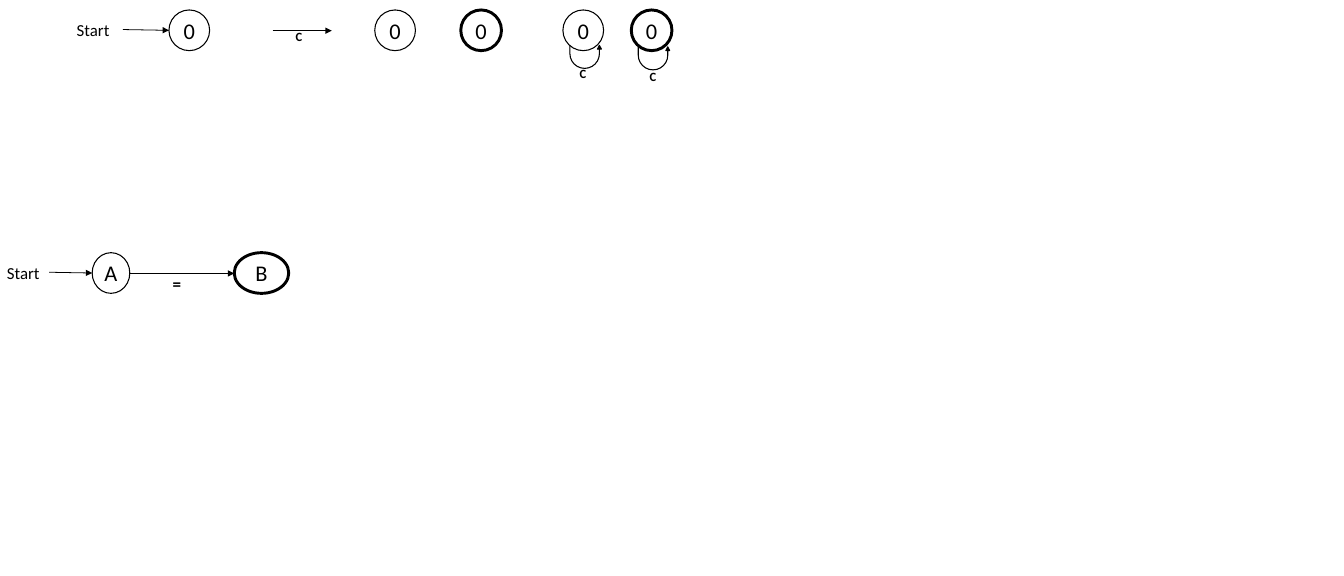
from pptx import Presentation
from pptx.dml.color import RGBColor
from pptx.enum.shapes import MSO_CONNECTOR as CONNECTOR, MSO_SHAPE as SHAPE
from pptx.enum.text import MSO_ANCHOR as ANCHOR, PP_ALIGN as ALIGN
from pptx.oxml.ns import qn
from pptx.util import Inches, Pt
from lxml import etree

INK = "000000"
FONT = "Calibri"
STATE_SIZE = 0.53
THIN, THICK = 1, 2.75
LOOP_BENDS = [0, 0.085, 0.164, 0.717, 1]


def paint(target, color):
    target.rgb = RGBColor.from_string(color)


def write(frame, text, size, bold=False):
    para = frame.paragraphs[0]
    para.text = text
    para.font.name = FONT
    para.font.size = Pt(size)
    para.font.bold = bold
    paint(para.font.color, INK)
    return para


def add_label(parent, text, left, top, width, height, size, bold=False):
    box = parent.shapes.add_textbox(*map(Inches, (left, top, width, height)))
    box.text_frame.word_wrap = False
    write(box.text_frame, text, size, bold)


def add_symbol(parent, left, top):
    add_label(parent, "C", left, top, 0.22, 0.3, 11.8, True)


def add_arrow(parent, start_x, start_y, end_x, end_y):
    ends = map(Inches, (start_x, start_y, end_x, end_y))
    arrow = parent.shapes.add_connector(CONNECTOR.STRAIGHT, *ends)
    paint(arrow.line.color, INK)
    arrow.line.width = Pt(0.75)
    etree.SubElement(arrow.line._get_or_add_ln(), qn("a:tailEnd"), type="triangle")
    etree.SubElement(arrow.element.spPr, qn("a:effectLst"))


def add_outlined(parent, kind, left, top, width, height, weight):
    shape = parent.shapes.add_shape(kind, *map(Inches, (left, top, width, height)))
    shape.shadow.inherit = False
    paint(shape.line.color, INK)
    shape.line.width = Pt(weight)
    return shape


def add_state(parent, name, left, top, width=STATE_SIZE, weight=THIN):
    state = add_outlined(parent, SHAPE.OVAL, left, top, width, STATE_SIZE, weight)
    state.fill.background()
    frame = state.text_frame
    frame.word_wrap = False
    frame.vertical_anchor = ANCHOR.MIDDLE
    frame.margin_left = frame.margin_right = 0
    write(frame, name, 21).alignment = ALIGN.CENTER


def add_start_state(page, name, left, top, label_width, arrow_length, state_width):
    group = page.shapes.add_group_shape()
    add_label(group, "Start", left, top + 0.08, label_width, 0.37, 15.8)
    arrow_left = left + label_width
    state_left = arrow_left + arrow_length
    middle = top + STATE_SIZE / 2
    add_arrow(group, arrow_left, middle - 0.01, state_left, middle)
    add_state(group, name, state_left, top, state_width)


def add_transition(page, left, top):
    group = page.shapes.add_group_shape()
    add_arrow(group, left, top, left + 0.77, top)
    add_symbol(group, left + 0.2, top - 0.07)


def add_looping_state(page, left, top, weight, loop_drop, symbol_left, symbol_drop):
    group = page.shapes.add_group_shape()
    add_state(group, "0", left, top, weight=weight)
    loop = add_outlined(group, SHAPE.U_TURN_ARROW, left + 0.09, top + loop_drop,
                        0.41, 0.3, THIN)
    loop.fill.solid()
    paint(loop.fill.fore_color, INK)
    for index, bend in enumerate(LOOP_BENDS):
        loop.adjustments[index] = bend
    loop.rotation = 180
    loop.element.spPr.find(qn("a:xfrm")).set("flipH", "1")
    add_symbol(group, left + symbol_left, top + symbol_drop)


def add_legend(page, top):
    add_start_state(page, "0", 0.9, top, 0.7, 0.6, STATE_SIZE)
    add_state(page, "0", 4.88, top)
    add_transition(page, 3.55, top + 0.27)
    add_state(page, "0", 6, top, weight=THICK)
    add_looping_state(page, 7.33, top, THIN, 0.46, 0.12, 0.68)
    add_looping_state(page, 8.22, top, THICK, 0.48, 0.14, 0.72)


def add_automaton(page, left, top):
    add_start_state(page, "A", left, top, 0.65, 0.56, 0.49)
    add_state(page, "B", left + 3.06, top, 0.71, THICK)
    middle = top + 0.27
    add_arrow(page, left + 1.7, middle, left + 3.06, middle)
    add_label(page, "=", left + 2.16, top + 0.22, 0.31, 0.37, 16, True)


def main():
    deck = Presentation()
    deck.slide_width, deck.slide_height = Inches(17.5), Inches(7.5)
    page = deck.slides.add_slide(deck.slide_layouts[6])
    add_legend(page, 0.13)
    add_automaton(page, -0.01, 3.29)
    deck.save("out.pptx")


if __name__ == "__main__":
    main()
